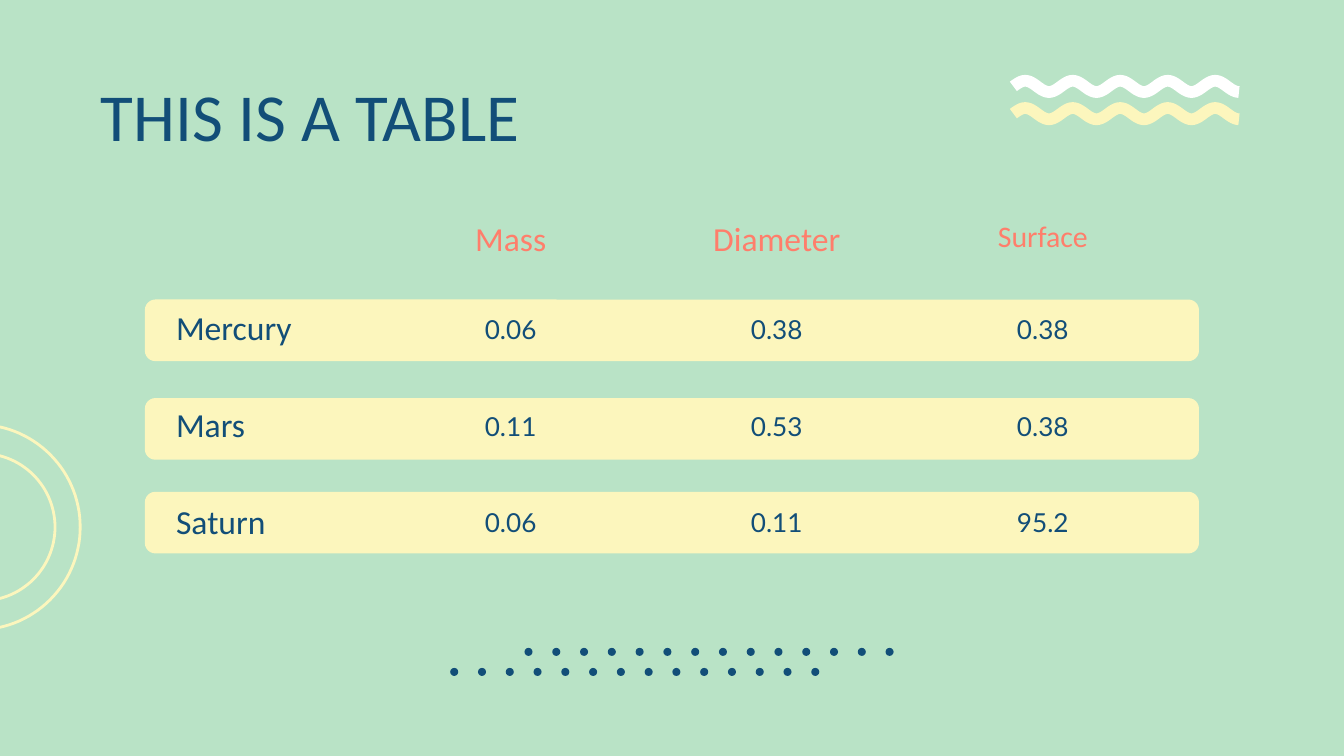
import math

from pptx import Presentation
from pptx.dml.color import RGBColor
from pptx.enum import shapes, text
from pptx.util import Pt

COLORS = {
    "mint": "B9E3C6",
    "cream": "FCF6BD",
    "navy": "124E78",
    "coral": "FF7E6B",
    "white": "FFFFFF",
}
NO_GRID_STYLE = "{2D5ABB26-0587-4C30-8999-92F81FD0307C}"

HEADINGS = ["", "Mass", "Diameter", "Surface"]
PLANETS = [
    ["Mercury", "0.06", "0.38", "0.38"],
    ["Mars", "0.11", "0.53", "0.38"],
    ["Saturn", "0.06", "0.11", "95.2"],
]


def color(name):
    return RGBColor.from_string(COLORS[name])


def write(frame, words, size=18, font="Calibri", ink="navy",
          align=text.PP_ALIGN.LEFT, anchor=text.MSO_ANCHOR.MIDDLE, inset=0):
    frame.vertical_anchor = anchor
    frame.margin_left = frame.margin_right = Pt(inset)
    frame.margin_top = frame.margin_bottom = Pt(inset)
    paragraph = frame.paragraphs[0]
    paragraph.alignment = align
    run = paragraph.add_run()
    run.text = words
    run.font.size = Pt(size)
    run.font.name = font
    run.font.color.rgb = color(ink)


def add_solid(parent, preset, left, top, width, height, ink):
    solid = parent.add_shape(preset, Pt(left), Pt(top), Pt(width), Pt(height))
    solid.shadow.inherit = False
    solid.fill.solid()
    solid.fill.fore_color.rgb = color(ink)
    solid.line.fill.background()
    return solid


def add_curve(slide, points, ink, weight):
    start, *rest = [(Pt(x), Pt(y)) for x, y in points]
    builder = slide.shapes.build_freeform(*start)
    builder.add_line_segments(rest, close=False)
    curve = builder.convert_to_shape()
    curve.shadow.inherit = False
    curve.fill.background()
    curve.line.color.rgb = color(ink)
    curve.line.width = Pt(weight)


def add_wave(slide, middle, ink):
    half_wave, steps = 12.72, 12
    points = [(542.9 + half_wave * i / steps,
               middle - 3 * math.sin(math.pi * i / steps))
              for i in range(int(9.5 * steps) + 1)]
    add_curve(slide, points, ink, 6.28)


def add_half_ring(slide, center_x, radius):
    angles = [math.radians(a) for a in range(-90, 91, 3)]
    points = [(center_x + radius * math.cos(a), 282.4 + radius * math.sin(a))
              for a in angles]
    add_curve(slide, points, "cream", 1.5)


def add_dots(slide):
    group = slide.shapes.add_group_shape()
    for left, top in [(241.2, 357.84), (281, 347.1)]:
        for i in range(14):
            add_solid(group.shapes, shapes.MSO_SHAPE.OVAL,
                      left + 14.88 * i, top, 4.3, 4.3, "navy")


def add_planet_table(slide):
    widths = [115.2, 142.56, 142.56, 142.56]
    heights = [40.32, 51.84, 51.84, 51.84]
    frame = slide.shapes.add_table(4, 4, Pt(87.1), Pt(110.2),
                                   Pt(sum(widths)), Pt(sum(heights)))
    planets = frame.table
    planets._tbl.tblPr.find("{*}tableStyleId").text = NO_GRID_STYLE
    planets.horz_banding = False
    for column, width in zip(planets.columns, widths):
        column.width = Pt(width)
    for row, height in zip(planets.rows, heights):
        row.height = Pt(height)

    for r, entries in enumerate([HEADINGS] + PLANETS):
        for c, entry in enumerate(entries):
            cell = planets.cell(r, c)
            cell.fill.background()
            if not entry:
                continue
            if r == 0:
                style = dict(size=16 if entry == "Surface" else 18, ink="coral",
                             anchor=text.MSO_ANCHOR.TOP)
            elif c == 0:
                style = {}
            else:
                style = dict(size=14, font="Lato")
            if c > 0:
                style["align"] = text.PP_ALIGN.CENTER
            write_cell(cell, entry, style)


def write_cell(cell, entry, style):
    anchor = style.pop("anchor", text.MSO_ANCHOR.MIDDLE)
    write(cell.text_frame, entry, **style)
    cell.vertical_anchor = anchor
    cell.margin_left = cell.margin_right = Pt(7.2)
    cell.margin_top = cell.margin_bottom = Pt(7.2)


def main():
    deck = Presentation()
    deck.slide_width, deck.slide_height = Pt(720), Pt(405)
    slide = deck.slides.add_slide(deck.slide_layouts[5])
    slide.background.fill.solid()
    slide.background.fill.fore_color.rgb = color("mint")

    # Decoration at the top right and the left edge
    add_wave(slide, 46.3, "white")
    add_wave(slide, 60.9, "cream")
    add_half_ring(slide, -12, 55)
    add_half_ring(slide, -10, 39.5)

    # Title
    title = slide.shapes.title
    title.left, title.top = Pt(54), Pt(36)
    title.width, title.height = Pt(610), Pt(50.4)
    write(title.text_frame, "THIS IS A TABLE", size=36)

    # Row bands with the table over them
    for top in [263.5, 213.3, 160.5]:
        band = add_solid(slide.shapes, shapes.MSO_SHAPE.ROUNDED_RECTANGLE,
                         77.6, top, 564.7, 33, "cream")
        band.adjustments[0] = 0.17
    add_planet_table(slide)

    # Dots at the bottom
    add_dots(slide)

    deck.save("out.pptx")


if __name__ == "__main__":
    main()
